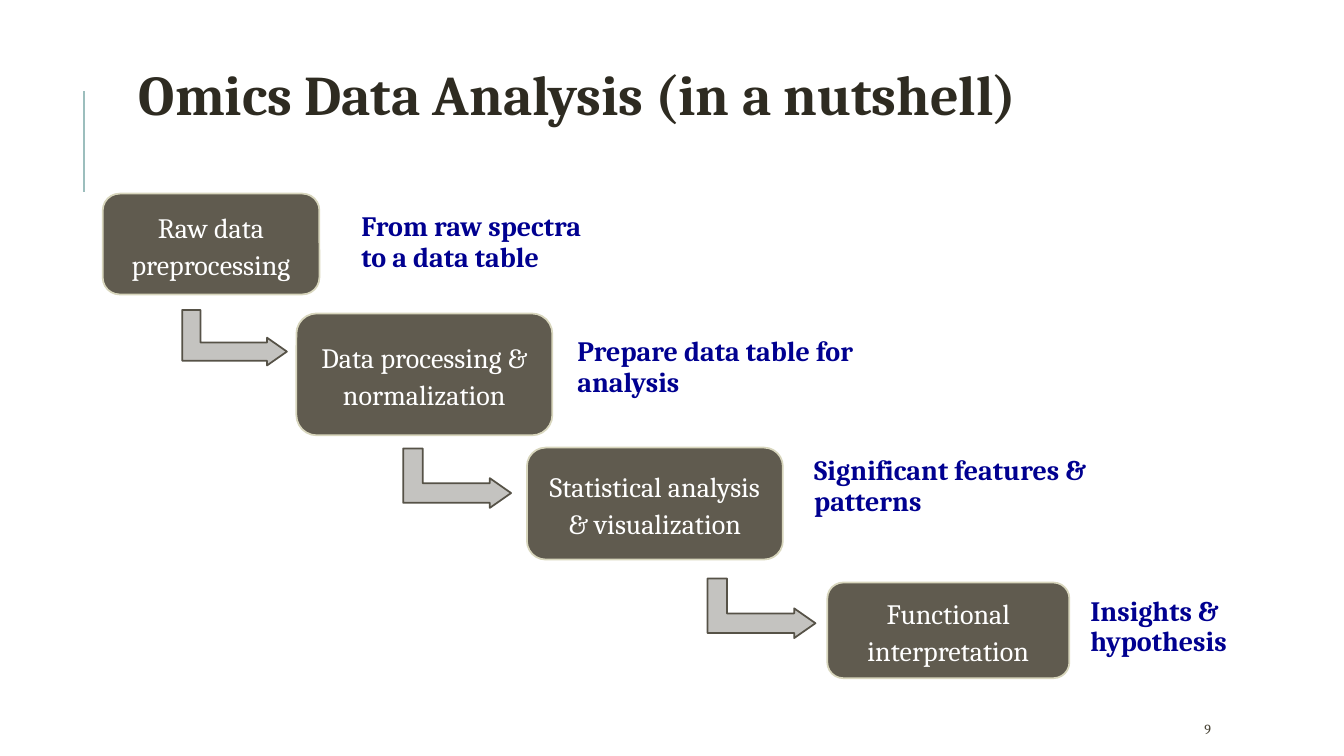
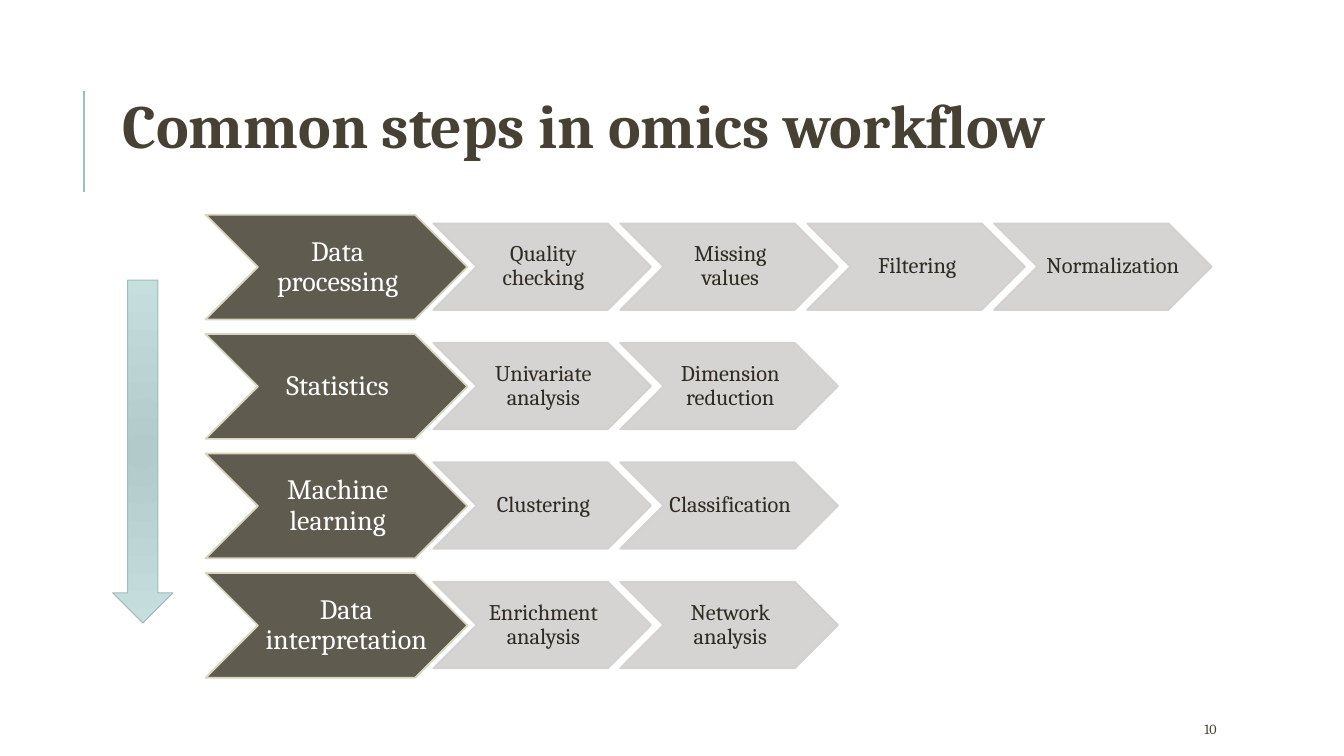
from dataclasses import dataclass

import pptx
import pptx.dml.color
import pptx.enum.shapes
import pptx.enum.text
import pptx.oxml
import pptx.oxml.ns
import pptx.util

Cm = pptx.util.Cm
Pt = pptx.util.Pt
Shape = pptx.enum.shapes.MSO_SHAPE
Align = pptx.enum.text.PP_ALIGN


@dataclass(frozen=True)
class Theme:
    font: str = "Cambria"
    olive: str = "605B4F"
    olive_edge: str = "D8D6BD"
    dark: str = "2E2B21"
    brown: str = "464132"
    navy: str = "000090"
    white: str = "FFFFFF"
    grey: str = "D1D0CF"
    elbow: str = "C4C3C0"
    elbow_edge: str = "565247"
    teal: str = "9CBEBD"
    teal_mid: str = "B2CBCA"
    teal_light: str = "C6DEDE"
    body_size: int = 20
    step_size: int = 16
    number_size: int = 10
    edge_width: float = 1.25


def rgb(value):
    return pptx.dml.color.RGBColor.from_string(value)


class Deck:
    def __init__(self, theme):
        self.theme = theme
        self.deck = pptx.Presentation()
        self.deck.slide_width = Cm(33.87)
        self.deck.slide_height = Cm(19.05)
        self.page = None

    def new_page(self, title, title_area, title_size, title_color, number):
        self.page = self.deck.slides.add_slide(self.deck.slide_layouts[6])
        self.accent_line()
        self.label(title, title_area, title_size, title_color, bold=True,
                   spacing=0.8, inset=(0.25, 0.13))
        self.label(number, (30.1, 17.98, 2.69, 0.76), self.theme.number_size,
                   self.theme.brown, inset=(0.25, 0.13))

    def accent_line(self):
        line = self.page.shapes.add_connector(
            pptx.enum.shapes.MSO_CONNECTOR.STRAIGHT,
            Cm(2.11), Cm(4.83), Cm(2.11), Cm(2.29))
        line.line.color.rgb = rgb(self.theme.teal)
        line.line.width = Pt(1.5)
        properties = line._element.spPr
        properties.append(pptx.oxml.parse_xml(
            f'<a:effectLst {pptx.oxml.ns.nsdecls("a")}/>'))

    def fill_text(self, box, text, size, color, bold=False, align=Align.LEFT,
                  spacing=1.0, inset=(0.25, 0.25), wrap=True):
        frame = box.text_frame
        frame.word_wrap = wrap
        frame.vertical_anchor = pptx.enum.text.MSO_ANCHOR.MIDDLE
        frame.margin_left = frame.margin_right = Cm(inset[0])
        frame.margin_top = frame.margin_bottom = Cm(inset[1])
        para = frame.paragraphs[0]
        para.alignment = align
        para.line_spacing = spacing
        for index, part in enumerate(text.split("\n")):
            if index:
                para.add_line_break()
            span = para.add_run()
            span.text = part
            span.font.name = self.theme.font
            span.font.size = Pt(size)
            span.font.bold = bold
            span.font.color.rgb = rgb(color)

    def label(self, text, area, size, color, **style):
        box = self.page.shapes.add_textbox(*map(Cm, area))
        self.fill_text(box, text, size, color, **style)

    def shape(self, kind, area, fill, edge, width, adjustments=()):
        box = self.page.shapes.add_shape(kind, *map(Cm, area))
        box.shadow.inherit = False
        box.fill.solid()
        box.fill.fore_color.rgb = rgb(fill)
        box.line.color.rgb = rgb(edge)
        box.line.width = Pt(width)
        for index, value in enumerate(adjustments):
            box.adjustments[index] = value
        return box

    def rounded_step(self, text, area):
        box = self.shape(Shape.ROUNDED_RECTANGLE, area, self.theme.olive,
                         self.theme.olive_edge, self.theme.edge_width)
        self.fill_text(box, text, self.theme.body_size, self.theme.white,
                       align=Align.CENTER, spacing=1.1, inset=(0.25, 0.2))

    def note(self, text, area):
        self.label(text, area, self.theme.body_size, self.theme.navy,
                   bold=True, spacing=0.9)

    def elbow_arrow(self, area):
        arrow = self.shape(Shape.BENT_UP_ARROW, area, self.theme.elbow,
                           self.theme.elbow_edge, self.theme.edge_width,
                           (0.328, 0.25, 0.358))
        arrow.rotation = 90

    def chevron(self, text, area, fill, edge, size, color, shift=0):
        """A positive shift moves a wide label right and stops it wrapping."""
        box = self.shape(Shape.CHEVRON, area, fill, edge,
                         self.theme.edge_width)
        self.fill_text(box, text, size, color, align=Align.CENTER,
                       spacing=0.9, inset=(0.03, 0.03), wrap=not shift)
        box.text_frame.margin_left = Cm(0.06 + 2 * shift)
        box.text_frame.margin_right = 0
        return box

    def stage(self, text, area, shift):
        self.chevron(text, area, self.theme.olive, self.theme.olive_edge,
                     self.theme.body_size, self.theme.white, shift)

    def step(self, text, area, shift):
        box = self.chevron(text, area, self.theme.grey, self.theme.grey,
                           self.theme.step_size, self.theme.dark, shift)
        colors = box._element.spPr.iter(pptx.oxml.ns.qn("a:srgbClr"))
        for color in list(colors):
            color.append(pptx.oxml.parse_xml(
                f'<a:alpha {pptx.oxml.ns.nsdecls("a")} val="90000"/>'))

    def down_arrow(self, area):
        arrow = self.shape(Shape.DOWN_ARROW, area, self.theme.teal_light,
                           self.theme.teal, 0.75, (0.5, 0.5))
        arrow.fill.gradient()
        shades = (self.theme.teal_mid, self.theme.teal_light)
        for stop, shade in zip(arrow.fill.gradient_stops, shades):
            stop.color.rgb = rgb(shade)
        gradient = arrow._element.spPr.find(pptx.oxml.ns.qn("a:gradFill"))
        gradient.remove(gradient.find(pptx.oxml.ns.qn("a:lin")))
        gradient.append(pptx.oxml.parse_xml(
            f'<a:path {pptx.oxml.ns.nsdecls("a")} path="circle">'
            '<a:fillToRect l="50000" t="50000" r="50000" b="50000"/>'
            '</a:path>'))


def nutshell_page(deck):
    deck.new_page("Omics Data Analysis (in a nutshell)",
                  (3.25, 0.91, 25.83, 3.18), 40, deck.theme.dark, "9")
    steps = [
        ("Raw data preprocessing", (2.59, 4.88, 5.46, 2.54),
         "From raw spectra to a data table", (8.86, 4.57, 6.45, 3.1)),
        ("Data processing & normalization", (7.47, 7.9, 6.45, 3.07),
         "Prepare data table for analysis", (14.3, 7.72, 8.71, 3.1)),
        ("Statistical analysis & visualization", (13.28, 11.28, 6.45, 2.82),
         "Significant features & patterns", (20.27, 10.72, 9.07, 3.1)),
        ("Functional interpretation", (20.85, 14.68, 6.1, 2.41),
         "Insights & hypothesis", (27.23, 14.22, 5.59, 3.2)),
    ]
    for name, area, note, note_area in steps:
        deck.rounded_step(name, area)
        deck.note(note, note_area)
    for area in [(5.21, 7.19, 1.4, 2.64), (10.77, 10.69, 1.5, 2.72),
                 (18.44, 13.97, 1.5, 2.72)]:
        deck.elbow_arrow(area)


def workflow_page(deck):
    deck.new_page("Common steps in omics workflow",
                  (2.84, 1.63, 27, 3.33), 44, deck.theme.brown, "10")
    rows = [
        ("Data processing",
         ["Quality checking", "Missing values", "Filtering", "Normalization"]),
        ("Statistics", ["Univariate analysis", "Dimension reduction"]),
        ("Machine learning", ["Clustering", "Classification"]),
        ("Data\ninterpretation", ["Enrichment analysis", "Network analysis"]),
    ]
    shifts = {"Normalization": 0.22, "Data\ninterpretation": 0.22}
    for row, (stage, steps) in enumerate(rows):
        top = 5.41 + 3.01 * row
        deck.stage(stage, (5.18, top, 6.6, 2.64), shifts.get(stage, 0))
        for column, step in enumerate(steps):
            area = (10.92 + 4.71 * column, top + 0.22, 5.49, 2.18)
            deck.step(step, area, shifts.get(step, 0))
    deck.down_arrow((2.84, 7.06, 1.52, 8.64))


def main():
    deck = Deck(Theme())
    nutshell_page(deck)
    workflow_page(deck)
    deck.deck.save("out.pptx")


if __name__ == "__main__":
    main()
